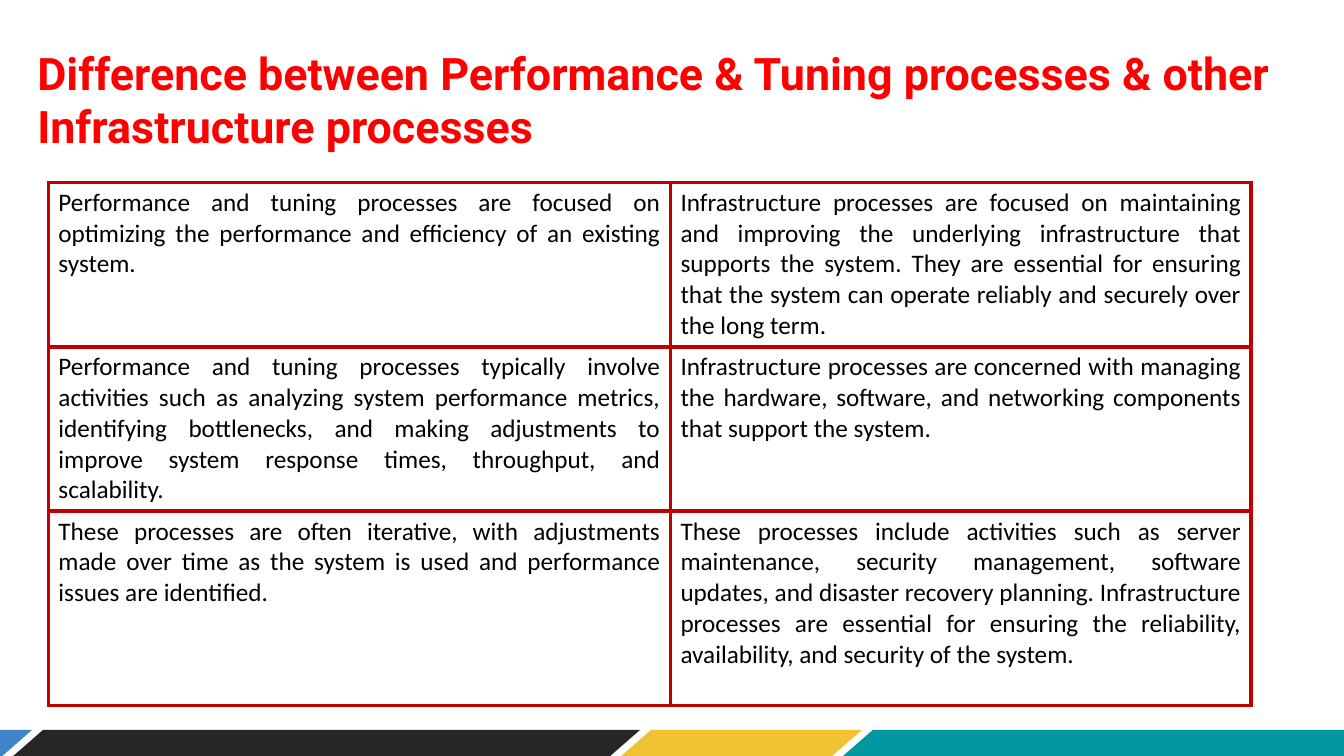
import pptx
import pptx.dml.color
import pptx.enum.shapes
import pptx.enum.text
import pptx.oxml
import pptx.oxml.ns
import pptx.util

Inches = pptx.util.Inches
Pt = pptx.util.Pt
RGBColor = pptx.dml.color.RGBColor

RED = RGBColor(0xFF, 0x00, 0x00)
DARK_RED = RGBColor(0xC0, 0x00, 0x00)
BLACK = RGBColor(0x00, 0x00, 0x00)
TEAL = RGBColor(0x00, 0x97, 0x9E)
YELLOW = RGBColor(0xF1, 0xC2, 0x32)
BLUE = RGBColor(0x3D, 0x85, 0xC6)
CHARCOAL = RGBColor(0x26, 0x26, 0x26)

TITLE = ("Difference between Performance & Tuning processes "
         "& other Infrastructure processes")

# Left column: performance and tuning; right column: infrastructure
COMPARISON = [
    ("Performance and tuning processes are focused on optimizing the "
     "performance and efficiency of an existing system.",
     "Infrastructure processes are focused on maintaining and improving the "
     "underlying infrastructure that supports the system. They are essential "
     "for ensuring that the system can operate reliably and securely over the "
     "long term."),
    ("Performance and tuning processes typically involve activities such as "
     "analyzing system performance metrics, identifying bottlenecks, and "
     "making adjustments to improve system response times, throughput, and "
     "scalability.",
     "Infrastructure processes are concerned with managing the hardware, "
     "software, and networking components that support the system."),
    ("These processes are often iterative, with adjustments made over time as "
     "the system is used and performance issues are identified.",
     "These processes include activities such as server maintenance, security "
     "management, software updates, and disaster recovery planning. "
     "Infrastructure processes are essential for ensuring the reliability, "
     "availability, and security of the system."),
]
COLUMN_WIDTHS = (6.17, 5.76)
ROW_HEIGHTS = (1.63, 1.63, 1.93)

# Footer bands from back to front: left, width, colour
FOOTER_BANDS = [
    (8.35, 5.53, TEAL),
    (6.15, 2.4, YELLOW),
    (-0.56, 0.88, BLUE),
    (0.12, 6.23, CHARCOAL),
]


def format_run(r, font, size, color, bold=False):
    r.font.name = font
    r.font.size = Pt(size)
    r.font.color.rgb = color
    r.font.bold = bold


def add_footer_band(s, left, width, color):
    sp = s.shapes.add_shape(
        pptx.enum.shapes.MSO_SHAPE.PARALLELOGRAM,
        Inches(left), Inches(7.24), Inches(width), Inches(0.27))
    sp.adjustments[0] = 1.143
    sp.shadow.inherit = False
    sp.fill.solid()
    sp.fill.fore_color.rgb = color
    sp.line.fill.background()


def set_title(s, text):
    sp = s.shapes.title
    sp.left, sp.top = Inches(0.27), Inches(0.4)
    sp.width, sp.height = Inches(12.51), Inches(0.65)
    tf = sp.text_frame
    tf.text = text
    tf.word_wrap = True
    tf.auto_size = pptx.enum.text.MSO_AUTO_SIZE.NONE
    tf.vertical_anchor = pptx.enum.text.MSO_ANCHOR.TOP
    p = tf.paragraphs[0]
    p.alignment = pptx.enum.text.PP_ALIGN.LEFT
    format_run(p.runs[0], "Roboto", 32, RED, bold=True)


def set_borders(cell, color, width):
    tcPr = cell._tc.get_or_add_tcPr()
    for side in ("lnL", "lnR", "lnT", "lnB"):
        tcPr.append(pptx.oxml.parse_xml(
            f'<a:{side} {pptx.oxml.ns.nsdecls("a")} w="{Pt(width)}">'
            f'<a:solidFill><a:srgbClr val="{color}"/></a:solidFill>'
            f'</a:{side}>'))


def fill_cell(cell, text):
    set_borders(cell, DARK_RED, 3)
    cell.fill.background()
    cell.text_frame.text = text
    p = cell.text_frame.paragraphs[0]
    p.alignment = pptx.enum.text.PP_ALIGN.JUSTIFY
    format_run(p.runs[0], "Calibri", 18, BLACK)


def add_comparison_table(s):
    table = s.shapes.add_table(
        len(ROW_HEIGHTS), len(COLUMN_WIDTHS), Inches(0.48), Inches(1.81),
        Inches(sum(COLUMN_WIDTHS)), Inches(sum(ROW_HEIGHTS))).table
    table.first_row = False
    table.horz_banding = False
    for column, width in zip(table.columns, COLUMN_WIDTHS):
        column.width = Inches(width)
    for row, height, texts in zip(table.rows, ROW_HEIGHTS, COMPARISON):
        row.height = Inches(height)
        for cell, text in zip(row.cells, texts):
            fill_cell(cell, text)


def main():
    prs = pptx.Presentation()
    prs.slide_width, prs.slide_height = Inches(13.33), Inches(7.5)
    s = prs.slides.add_slide(prs.slide_layouts[5])  # Title Only

    # Footer
    for left, width, color in FOOTER_BANDS:
        add_footer_band(s, left, width, color)

    # Title and comparison
    set_title(s, TITLE)
    add_comparison_table(s)

    prs.save("out.pptx")


if __name__ == "__main__":
    main()
